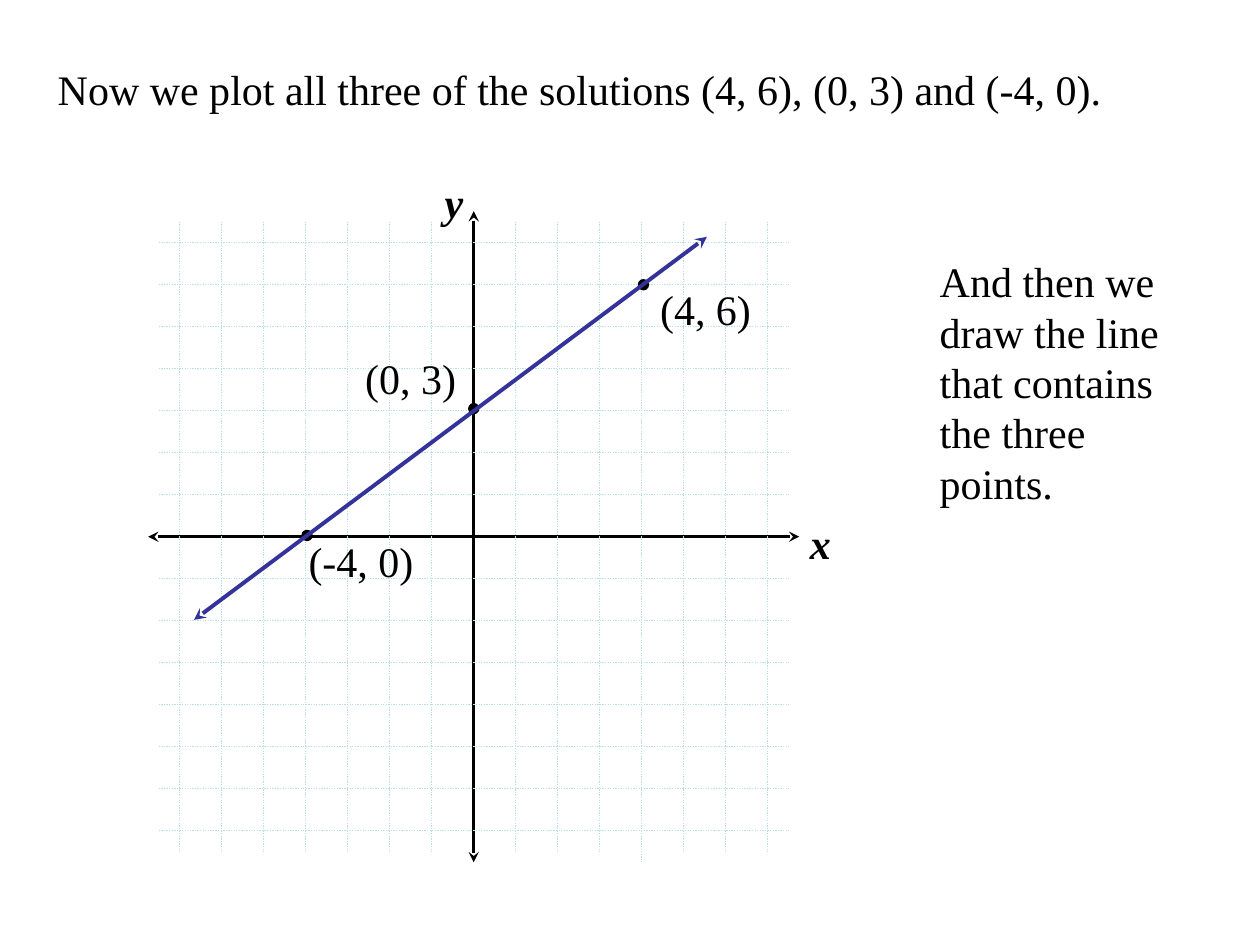
from typing import NamedTuple

from lxml.etree import SubElement
from pptx import Presentation
from pptx.dml.color import RGBColor
from pptx.enum.dml import MSO_LINE_DASH_STYLE as Dash
from pptx.enum.shapes import MSO_CONNECTOR_TYPE as Connector
from pptx.enum.shapes import MSO_AUTO_SHAPE_TYPE as Shape
from pptx.enum.text import MSO_AUTO_SIZE as AutoSize
from pptx.oxml.ns import qn
from pptx.util import Inches, Pt

COLORS = {"ink": "000000", "grid": "BBE0E3", "graph": "333399"}
FONT = "Times New Roman"
WIDTH, HEIGHT = 10, 7.5

# Coordinate plane: one unit is a third of an inch
UNIT = 1 / 3
ORIGIN_X, ORIGIN_Y = 3.76, 4.26
GRID_REACH, AXIS_REACH = 7.5, 7.75
DOT_SIZE = 0.08


class Point(NamedTuple):
    x: float
    y: float


class Label(NamedTuple):
    text: str
    corner: Point  # top left, in units of the plane
    columns: float
    is_axis: bool = False


class Note(NamedTuple):
    text: str
    left: float  # shares of the slide
    top: float
    width: float
    height: float


DOTS = [Point(4.04, 6), Point(0, 3.05), Point(-3.97, 0.03)]
AXIS_NAMES = [
    Label("x", Point(7.71, 0.6), 1.11, True),
    Label("y", Point(-0.99, 8.73), 1.05, True),
]
DOT_NAMES = [
    Label("(4, 6)", Point(4.14, 6.18), 3.03),
    Label("(0, 3)", Point(-2.88, 4.53), 3.03),
    Label("(-4, 0)", Point(-4.23, 0.18), 3.57),
]
TITLE = Note("Now we plot all three of the solutions (4, 6), (0, 3) and (-4, 0).",
             0.036, 0.061, 0.907, 0.067)
REMARK = Note("And then we draw the line that contains the three points.",
              0.736, 0.264, 0.215, 0.28)


def to_inches(point: Point) -> tuple[float, float]:
    return ORIGIN_X + point.x * UNIT, ORIGIN_Y - point.y * UNIT


def add_text(slide, text: str, left: float, top: float, width: float, height: float,
             *, emphasis: bool = False, wrap: bool = True) -> None:
    box = slide.shapes.add_textbox(*map(Inches, (left, top, width, height)))
    frame = box.text_frame
    frame.word_wrap = wrap
    frame.auto_size = AutoSize.SHAPE_TO_FIT_TEXT
    paragraph = frame.paragraphs[0]
    paragraph.text = text
    font = paragraph.runs[0].font
    font.name, font.size = FONT, Pt(24)
    font.bold = font.italic = emphasis
    font.color.rgb = RGBColor.from_string(COLORS["ink"])


def add_note(slide, note: Note) -> None:
    add_text(slide, note.text, note.left * WIDTH, note.top * HEIGHT,
             note.width * WIDTH, note.height * HEIGHT)


def add_label(slide, label: Label) -> None:
    add_text(slide, label.text, *to_inches(label.corner), label.columns * UNIT, 0.5,
             emphasis=label.is_axis, wrap=not label.is_axis)


def add_line(slide, start: Point, end: Point, color: str, weight: float,
             *, arrows: bool = False, dotted: bool = False) -> None:
    ends = map(Inches, (*to_inches(start), *to_inches(end)))
    connector = slide.shapes.add_connector(Connector.STRAIGHT, *ends)
    line = connector.line
    line.color.rgb = RGBColor.from_string(COLORS[color])
    line.width = Pt(weight)
    if dotted:
        line.dash_style = Dash.ROUND_DOT  # sysDot
    properties = connector._element.spPr
    if arrows:
        for tag in ("a:headEnd", "a:tailEnd"):
            SubElement(properties.find(qn("a:ln")), qn(tag), type="stealth")
    SubElement(properties, qn("a:effectLst"))


def add_dot(slide, center: Point) -> None:
    x, y = to_inches(center)
    dot = slide.shapes.add_shape(
        Shape.OVAL, Inches(x - DOT_SIZE / 2), Inches(y - DOT_SIZE / 2),
        Inches(DOT_SIZE), Inches(DOT_SIZE))
    dot.shadow.inherit = False
    dot.fill.solid()
    dot.fill.fore_color.rgb = RGBColor.from_string(COLORS["ink"])
    dot.line.color.rgb = RGBColor.from_string(COLORS["ink"])
    dot.line.width = Pt(0.75)


def add_plane(slide) -> None:
    # Axes
    add_line(slide, Point(0, AXIS_REACH), Point(0, -AXIS_REACH), "ink", 1.5, arrows=True)
    add_line(slide, Point(-AXIS_REACH, 0), Point(AXIS_REACH, 0), "ink", 1.5, arrows=True)
    # Grid lines on every whole number but zero
    steps = [step for step in range(-7, 8) if step]
    for y in steps:
        add_line(slide, Point(-GRID_REACH, y), Point(GRID_REACH, y), "grid", 0.75, dotted=True)
    for x in steps:
        bottom = AXIS_REACH if x == 4 else GRID_REACH
        add_line(slide, Point(x, GRID_REACH), Point(x, -bottom), "grid", 0.75, dotted=True)


def main() -> None:
    presentation = Presentation()
    presentation.slide_width, presentation.slide_height = Inches(WIDTH), Inches(HEIGHT)
    slide = presentation.slides.add_slide(presentation.slide_layouts[6])

    add_note(slide, TITLE)
    add_plane(slide)
    for label in AXIS_NAMES:
        add_label(slide, label)

    # Solutions and the line through them
    for dot in DOTS:
        add_dot(slide, dot)
    for label in DOT_NAMES:
        add_label(slide, label)
    add_note(slide, REMARK)
    add_line(slide, Point(5.55, 7.14), Point(-6.66, -1.98), "graph", 2.25, arrows=True)

    presentation.save("out.pptx")


if __name__ == "__main__":
    main()
